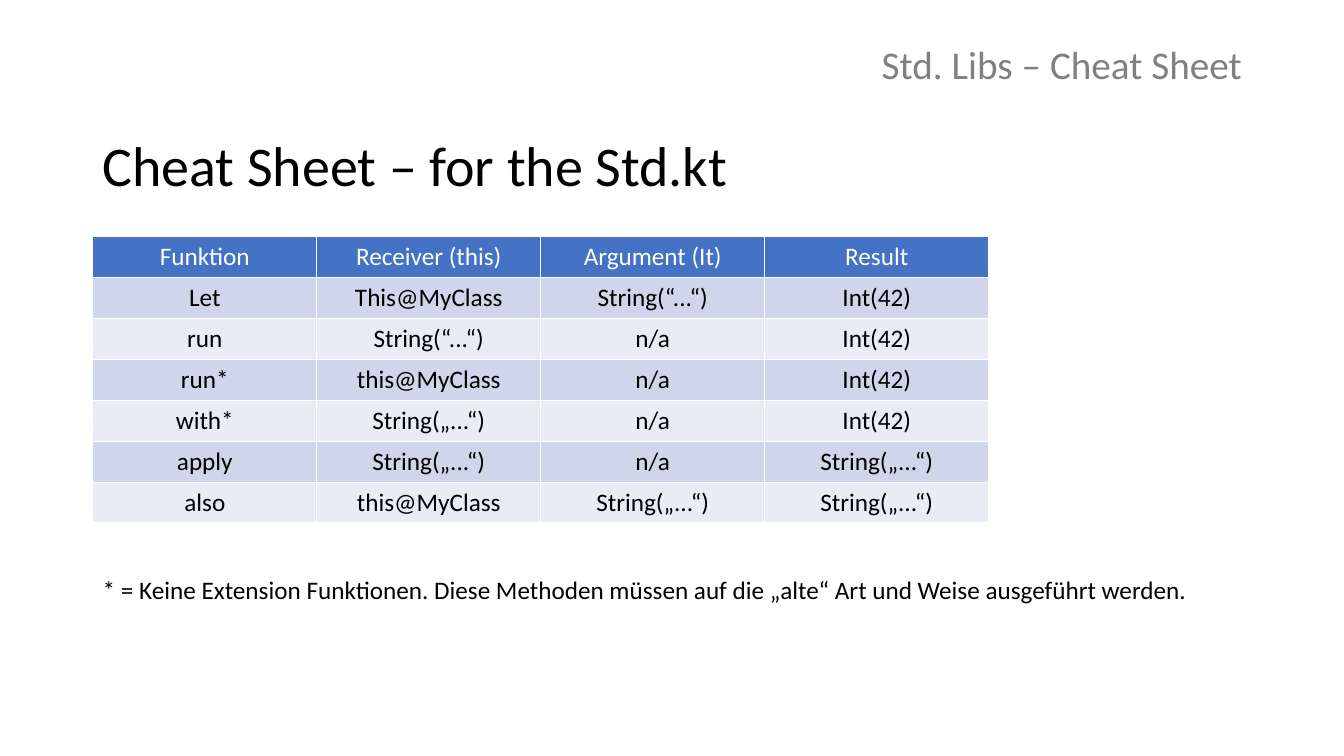
"""Builds the cheat sheet slide for the scope functions of Std.kt."""
from pptx import Presentation
from pptx.dml.color import RGBColor
from pptx.enum import text
from pptx.util import Pt

BLACK = RGBColor(0x00, 0x00, 0x00)
GREY = RGBColor(0x80, 0x80, 0x80)
WHITE = RGBColor(0xFF, 0xFF, 0xFF)
HEADER = RGBColor(0x44, 0x72, 0xC4)
BANDS = [RGBColor(0xE9, 0xEB, 0xF5), RGBColor(0xCF, 0xD5, 0xEA)]
LEFT = 66.3


def write(frame, words, size, color, align):
    paragraph = frame.paragraphs[0]
    paragraph.alignment = align
    run = paragraph.add_run()
    run.text = words
    run.font.color.rgb = color
    for key, value in {"name": "Calibri", "size": Pt(size), "bold": False}.items():
        setattr(run.font, key, value)
    return paragraph


deck = Presentation()
deck.slide_width, deck.slide_height = Pt(960), Pt(540)
slide = deck.slides.add_slide(deck.slide_layouts[6])

topic = slide.shapes.add_textbox(Pt(390), Pt(28.8), Pt(504), Pt(38.2)).text_frame
topic.word_wrap = True
topic.vertical_anchor = text.MSO_ANCHOR.MIDDLE
write(topic, "Std. Libs – Cheat Sheet", 28, GREY, text.PP_ALIGN.RIGHT).line_spacing = 0.9

lines = [
    ("Cheat Sheet – for the Std.kt", 90, 465, 55.7, 40),
    ("* = Keine Extension Funktionen. Diese Methoden müssen auf die „alte“ Art und Weise "
     "ausgeführt werden.", 406.8, 794, 29.1, 18),
]
for words, top, width, height, size in lines:
    line = slide.shapes.add_textbox(Pt(LEFT), Pt(top), Pt(width), Pt(height)).text_frame
    line.word_wrap = False
    line.auto_size = text.MSO_AUTO_SIZE.SHAPE_TO_FIT_TEXT
    write(line, words, size, BLACK, text.PP_ALIGN.LEFT)

functions = [
    ("Funktion", "Receiver (this)", "Argument (It)", "Result"),
    ("Let", "This@MyClass", "String(“...“)", "Int(42)"),
    ("run", "String(“...“)", "n/a", "Int(42)"),
    ("run*", "this@MyClass", "n/a", "Int(42)"),
    ("with*", "String(„...“)", "n/a", "Int(42)"),
    ("apply", "String(„...“)", "n/a", "String(„...“)"),
    ("also", "this@MyClass", "String(„...“)", "String(„...“)"),
]
overview = slide.shapes.add_table(
    len(functions), len(functions[0]), Pt(LEFT), Pt(169.2), Pt(640), Pt(204.4)).table
for r, function in enumerate(functions):
    overview.rows[r].height = Pt(29.2)
    for c, words in enumerate(function):
        cell = overview.cell(r, c)
        cell.fill.solid()
        cell.fill.fore_color.rgb = BANDS[r % 2] if r else HEADER
        write(cell.text_frame, words, 18, BLACK if r else WHITE, text.PP_ALIGN.CENTER)

deck.save("out.pptx")
